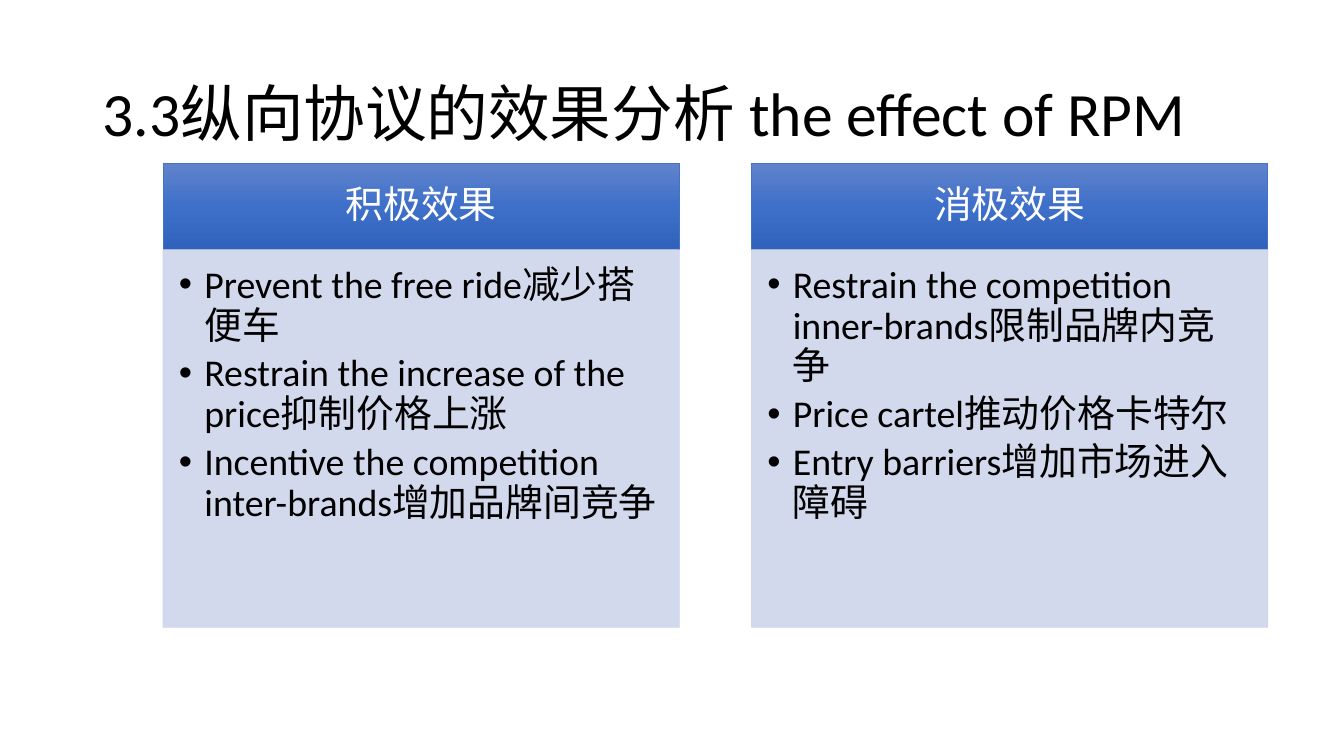
from copy import deepcopy

from pptx import Presentation
from pptx.dml.color import RGBColor
from pptx.enum.text import MSO_ANCHOR, MSO_AUTO_SIZE, PP_ALIGN
from pptx.oxml import parse_xml
from pptx.oxml.ns import nsdecls, qn
from pptx.util import Cm, Pt

# Content
TITLE = "3.3纵向协议的效果分析 the effect of RPM"
EFFECTS = [
    ("积极效果", [
        "Prevent the free ride减少搭便车",
        "Restrain the increase of the price抑制价格上涨",
        "Incentive the competition inter-brands增加品牌间竞争",
    ]),
    ("消极效果", [
        "Restrain the competition inner-brands限制品牌内竞争",
        "Price cartel推动价格卡特尔",
        "Entry barriers增加市场进入障碍",
    ]),
]

# Look
COLORS = {
    "text": "000000", "heading": "FFFFFF", "heading_line": "4472C4",
    "list": "CFD5EA",
}
HEADING_GRADIENT = [(0, "6183CB"), (0.5, "3E70CA"), (1, "3062BB")]
LIST_OPACITY = 90  # percent
TITLE_FORMAT = {"size": Pt(44), "color": COLORS["text"]}
HEADING_FORMAT = {"size": Pt(27), "color": COLORS["heading"]}
LIST_FORMAT = {"size": Pt(27), "color": COLORS["text"]}

# Layout in centimetres
COLUMN_LEFT, COLUMN_TOP, COLUMN_STEP, COLUMN_WIDTH = 4.11, 4.12, 14.83, 13.01
HEADING_HEIGHT, LIST_HEIGHT = 2.17, 9.52
TITLE_INSETS = (0.25, 0.13, 0.25, 0.13)
HEADING_INSETS = (0.53, 0.3, 0.53, 0.3)
LIST_INSETS = (0.4, 0.4, 0.53, 0.61)
BULLET_INDENT = Cm(0.64)


def set_attributes(target, values):
    for name, value in values.items():
        setattr(target, name, value)


def place(shape, left, top, width, height):
    set_attributes(shape, {"left": Cm(left), "top": Cm(top),
                           "width": Cm(width), "height": Cm(height)})


def write(shape, lines, text_format, insets, anchor, align, gap=0):
    frame = shape.text_frame
    sides = ("margin_left", "margin_top", "margin_right", "margin_bottom")
    set_attributes(frame, dict(zip(sides, map(Cm, insets))))
    set_attributes(frame, {"text": "\n".join(lines), "word_wrap": True,
                           "auto_size": MSO_AUTO_SIZE.NONE,
                           "vertical_anchor": anchor})
    for paragraph in frame.paragraphs:
        set_attributes(paragraph, {"alignment": align, "line_spacing": 0.9,
                                   "space_before": Pt(0), "space_after": Pt(gap)})
        for run in paragraph.runs:
            set_attributes(run.font, {"name": "Calibri", "bold": False,
                                      "size": text_format["size"]})
            run.font.color.rgb = RGBColor.from_string(text_format["color"])


def outline(shape, color):
    shape.line.width = Pt(0.5)
    shape.line.color.rgb = RGBColor.from_string(color)


def fill_heading(shape):
    shape.fill.gradient()
    shape.fill.gradient_angle = 270
    stop_list = next(shape._element.spPr.iter(qn("a:gsLst")))
    stop_list.append(deepcopy(stop_list[0]))
    for stop, (position, color) in zip(shape.fill.gradient_stops, HEADING_GRADIENT):
        stop.position = position
        stop.color.rgb = RGBColor.from_string(color)
    outline(shape, COLORS["heading_line"])


def fill_list(shape):
    shape.fill.solid()
    shape.fill.fore_color.rgb = RGBColor.from_string(COLORS["list"])
    outline(shape, COLORS["list"])
    for color in shape._element.spPr.iter(qn("a:srgbClr")):
        color.append(parse_xml(
            f'<a:alpha {nsdecls("a")} val="{LIST_OPACITY * 1000}"/>'))


def indent_bullets(shape):
    for paragraph in shape.text_frame.paragraphs:
        properties = paragraph._p.get_or_add_pPr()
        properties.set("marL", str(BULLET_INDENT))
        properties.set("indent", str(-BULLET_INDENT))


def main():
    presentation = Presentation()
    presentation.slide_width = Cm(33.87)
    presentation.slide_height = Cm(19.05)
    # The comparison layout has a title and two heading-and-list pairs
    slide = presentation.slides.add_slide(presentation.slide_layouts[4])
    title, *parts = slide.placeholders

    # Title
    place(title, 2.33, 1.09, 29.21, 3.68)
    write(title, [TITLE], TITLE_FORMAT, TITLE_INSETS,
          MSO_ANCHOR.MIDDLE, PP_ALIGN.LEFT)

    # Columns
    pairs = zip(parts[::2], parts[1::2])
    for column, ((heading, bullets), (name, points)) in enumerate(zip(pairs, EFFECTS)):
        left = COLUMN_LEFT + column * COLUMN_STEP
        place(heading, left, COLUMN_TOP, COLUMN_WIDTH, HEADING_HEIGHT)
        fill_heading(heading)
        write(heading, [name], HEADING_FORMAT, HEADING_INSETS,
              MSO_ANCHOR.MIDDLE, PP_ALIGN.CENTER)

        place(bullets, left, COLUMN_TOP + HEADING_HEIGHT, COLUMN_WIDTH, LIST_HEIGHT)
        fill_list(bullets)
        write(bullets, points, LIST_FORMAT, LIST_INSETS,
              MSO_ANCHOR.TOP, PP_ALIGN.LEFT, gap=5)
        indent_bullets(bullets)

    presentation.save("out.pptx")


if __name__ == "__main__":
    main()
